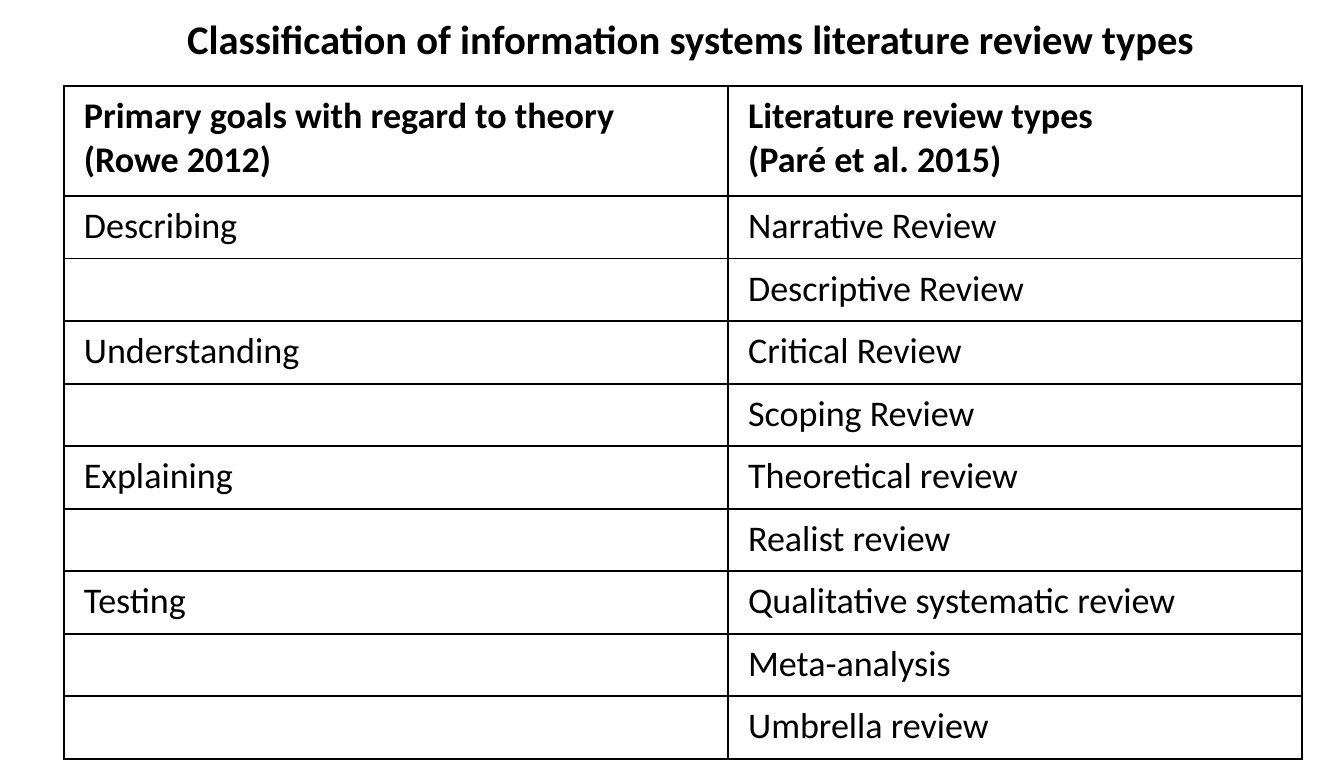
import pptx
import pptx.util
import pptx.dml.color
import pptx.enum.text
import pptx.oxml.ns
import lxml.etree

Pt = pptx.util.Pt
RGB = pptx.dml.color.RGBColor.from_string
qn = pptx.oxml.ns.qn

COLORS = {"ink": "000000", "paper": "FFFFFF"}
TEXT = {"name": "Calibri", "size": Pt(16), "bold": False}
HEADING = {**TEXT, "bold": True}
TITLE = {**HEADING, "size": Pt(18)}
MARGINS = {
    "margin_left": Pt(8.8), "margin_right": Pt(8.8),
    "margin_top": Pt(3.6), "margin_bottom": Pt(3.6),
}
TITLE_BOX = {"left": Pt(39.6), "top": Pt(2.5), "width": Pt(532.8), "height": Pt(28.8)}
TITLE_FRAME = {
    "word_wrap": True,
    "auto_size": pptx.enum.text.MSO_AUTO_SIZE.NONE,
    "vertical_anchor": pptx.enum.text.MSO_ANCHOR.MIDDLE,
}
HEADINGS = ("Primary goals with regard to theory (Rowe 2012)",
            "Literature review types\v(Paré et al. 2015)")
REVIEWS_BY_GOAL = {
    "Describing": ["Narrative Review", "Descriptive Review"],
    "Understanding": ["Critical Review", "Scoping Review"],
    "Explaining": ["Theoretical review", "Realist review"],
    "Testing": ["Qualitative systematic review", "Meta-analysis", "Umbrella review"],
}
COLUMN_WIDTHS = (294.2, 254.2)
HEADER_HEIGHT, ROW_HEIGHT = 48.7, 27.7


def set_all(target, values):
    for name, value in values.items():
        setattr(target, name, value)


def write(para, text, style):
    para.text = text
    for span in para.runs:
        set_all(span.font, style)
        span.font.color.rgb = RGB(COLORS["ink"])


deck = pptx.Presentation()
deck.slide_width, deck.slide_height = Pt(595.25), Pt(340.13)
page = deck.slides.add_slide(deck.slide_layouts[5])

title = page.shapes.title
set_all(title, TITLE_BOX)
set_all(title.text_frame, TITLE_FRAME)
title_para = title.text_frame.paragraphs[0]
write(title_para, "Classification of information systems literature review types", TITLE)
title_para.alignment = pptx.enum.text.PP_ALIGN.CENTER

rows = [HEADINGS]
for goal, reviews in REVIEWS_BY_GOAL.items():
    for index, review in enumerate(reviews):
        rows.append((goal if index == 0 else "", review))

table_height = HEADER_HEIGHT + ROW_HEIGHT * (len(rows) - 1)
table = page.shapes.add_table(
    len(rows), len(COLUMN_WIDTHS), Pt(28.4), Pt(38.1),
    Pt(sum(COLUMN_WIDTHS)), Pt(table_height)).table
set_all(table, {"first_row": False, "horz_banding": False})
for column, width in zip(table.columns, COLUMN_WIDTHS):
    column.width = Pt(width)

for row_index, texts in enumerate(rows):
    table.rows[row_index].height = Pt(ROW_HEIGHT if row_index else HEADER_HEIGHT)
    for column_index, text in enumerate(texts):
        cell = table.cell(row_index, column_index)
        set_all(cell, MARGINS)
        para = cell.text_frame.paragraphs[0]
        if text:
            write(para, text, TEXT if row_index else HEADING)
        else:
            lxml.etree.SubElement(para._p, qn("a:endParaRPr"), sz="1600")
        properties = cell._tc.get_or_add_tcPr()
        for side in ("L", "R", "T", "B"):
            border = lxml.etree.SubElement(properties, qn("a:ln" + side), w=str(Pt(1)))
            fill = lxml.etree.SubElement(border, qn("a:solidFill"))
            lxml.etree.SubElement(fill, qn("a:srgbClr"), val=COLORS["ink"])
        cell.fill.solid()
        cell.fill.fore_color.rgb = RGB(COLORS["paper"])

deck.save("out.pptx")
